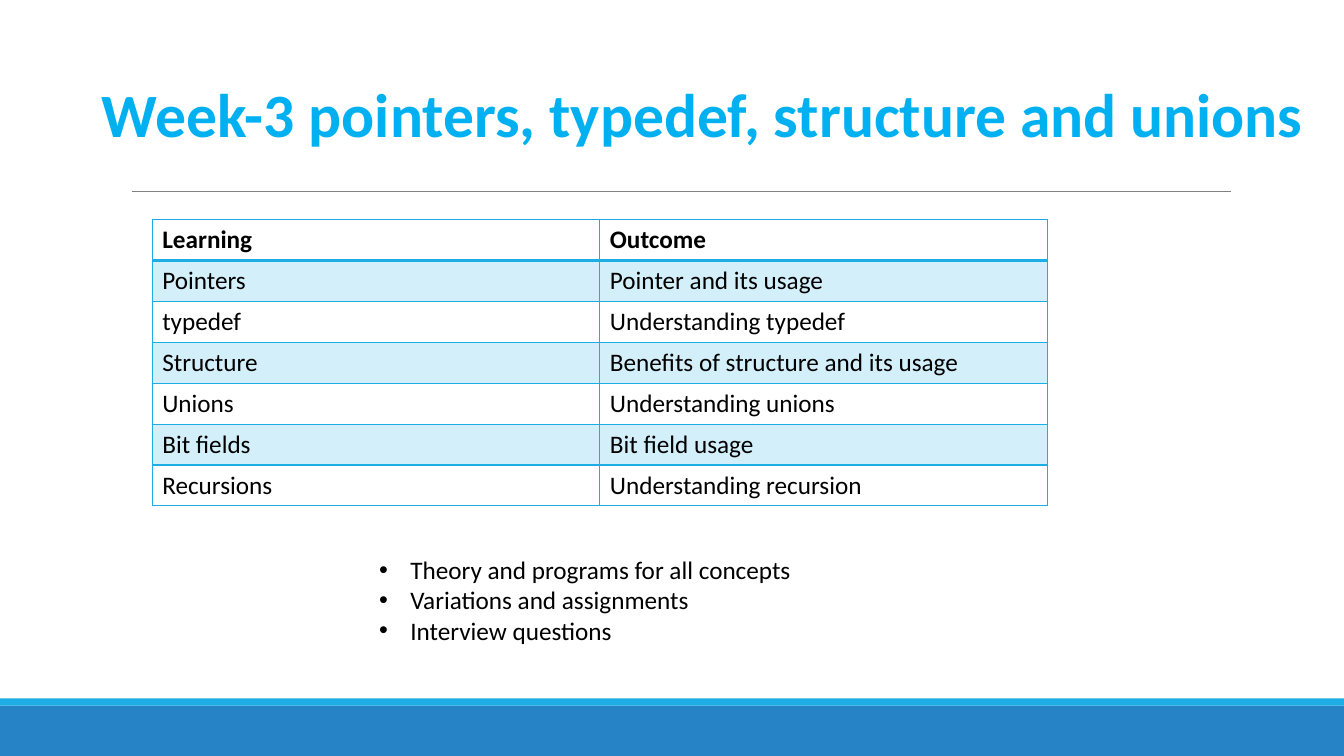
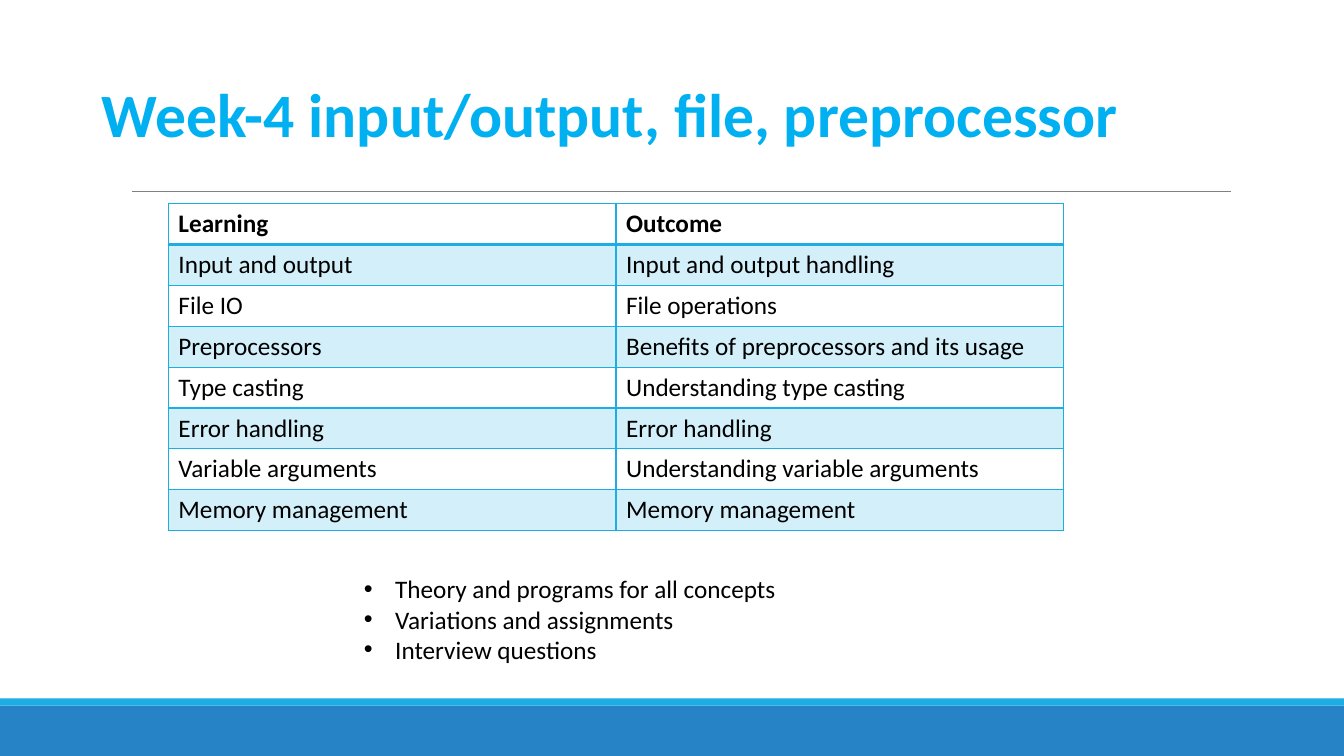
"""Build two weekly course-plan slides, each with a topic table and a list."""
from lxml import etree
from pptx import Presentation
from pptx.dml.color import RGBColor
from pptx.enum.shapes import MSO_CONNECTOR, MSO_SHAPE
from pptx.enum.text import MSO_ANCHOR, MSO_AUTO_SIZE, PP_ALIGN
from pptx.oxml import parse_xml
from pptx.oxml.ns import nsdecls, qn
from pptx.util import Inches, Pt

RECT = MSO_SHAPE.RECTANGLE
STRAIGHT = MSO_CONNECTOR.STRAIGHT
LEFT = PP_ALIGN.LEFT
MIDDLE, TOP = MSO_ANCHOR.MIDDLE, MSO_ANCHOR.TOP
NO_FIT = MSO_AUTO_SIZE.NONE

BLUE = RGBColor(0x26, 0x83, 0xC6)
CYAN = RGBColor(0x1C, 0xAD, 0xE4)
PALE = RGBColor(0xD2, 0xEF, 0xFA)
SKY = RGBColor(0x00, 0xB0, 0xF0)
GRAY = RGBColor(0x80, 0x80, 0x80)
BLACK = RGBColor(0, 0, 0)
FONT = "Calibri"

COL_W, ROW_H = Inches(4.44), Pt(29.2)
INDENT = Inches(0.31)
BANDS = [(7, 0.5, BLUE), (6.93, 0.07, CYAN)]
HEADER = ("Learning", "Outcome")
POINTS = ["Theory and programs for all concepts", "Variations and assignments",
          "Interview questions"]

WEEKS = [
    ("Week-3 pointers, typedef, structure and unions", (1.51, 2.18), (3.66, 5.45), [
        ("Pointers", "Pointer and its usage"),
        ("typedef", "Understanding typedef"),
        ("Structure", "Benefits of structure and its usage"),
        ("Unions", "Understanding unions"),
        ("Bit fields", "Bit field usage"),
        ("Recursions", "Understanding recursion"),
    ]),
    ("Week-4 input/output, file, preprocessor", (1.67, 2.02), (3.51, 5.64), [
        ("Input and output", "Input and output handling"),
        ("File IO", "File operations"),
        ("Preprocessors", "Benefits of preprocessors and its usage"),
        ("Type casting", "Understanding type casting"),
        ("Error handling", "Error handling"),
        ("Variable arguments", "Understanding variable arguments"),
        ("Memory management", "Memory management"),
    ]),
]


def write(p, text, size=18, color=BLACK, bold=False):
    p.alignment = LEFT
    r = p.add_run()
    r.text = text
    r.font.name, r.font.size, r.font.bold = FONT, Pt(size), bold
    r.font.color.rgb = color


def add_border(cell, side, width):
    cell._tc.get_or_add_tcPr().append(parse_xml(
        f'<a:{side} {nsdecls("a")} w="{Pt(width)}"><a:solidFill>'
        f'<a:srgbClr val="{CYAN}"/></a:solidFill></a:{side}>'))


prs = Presentation()
prs.slide_width, prs.slide_height = Inches(13.33), Inches(7.5)

for title, table_at, list_at, topics in WEEKS:
    s = prs.slides.add_slide(prs.slide_layouts[1])

    for top, height, color in BANDS:
        sp = s.shapes.add_shape(RECT, 0, Inches(top), prs.slide_width, Inches(height))
        sp.shadow.inherit = False
        sp.fill.solid()
        sp.fill.fore_color.rgb = color
        sp.line.fill.background()

    rule = s.shapes.add_connector(STRAIGHT, Inches(1.31), Inches(1.9),
                                  Inches(12.21), Inches(1.9))
    rule.line.color.rgb, rule.line.width = GRAY, Pt(0.5)
    etree.SubElement(rule._element.spPr, qn("a:effectLst"))

    body = s.placeholders[1]
    for sp, box, anchor in [(s.shapes.title, (0.91, 0.7, 12.26, 0.84), MIDDLE),
                            (body, (*list_at, 4.33, 1.01), TOP)]:
        sp.left, sp.top, sp.width, sp.height = map(Inches, box)
        tf = sp.text_frame
        tf.word_wrap, tf.auto_size, tf.vertical_anchor = True, NO_FIT, anchor
    write(s.shapes.title.text_frame.paragraphs[0], title, size=44, color=SKY, bold=True)

    tf = body.text_frame
    for i, point in enumerate(POINTS):
        p = tf.add_paragraph() if i else tf.paragraphs[0]
        p.space_before = Pt(0)
        pPr = p._p.get_or_add_pPr()
        pPr.set("marL", str(INDENT))
        pPr.set("indent", str(-INDENT))
        write(p, point)

    rows = [HEADER, *topics]
    left, top = map(Inches, table_at)
    table = s.shapes.add_table(len(rows), 2, left, top,
                               2 * COL_W, len(rows) * ROW_H).table
    table.first_row = table.horz_banding = False
    for i, row in enumerate(rows):
        table.rows[i].height = ROW_H
        for j, text in enumerate(row):
            cell = table.cell(i, j)
            for side in ("lnL", "lnR", "lnT", "lnB"):
                heavy = (i, side) in [(0, "lnB"), (1, "lnT")]
                add_border(cell, side, 2 if heavy else 1)
            if i % 2:
                cell.fill.solid()
                cell.fill.fore_color.rgb = PALE
            else:
                cell.fill.background()
            write(cell.text_frame.paragraphs[0], text, bold=i == 0)

prs.save("out.pptx")
